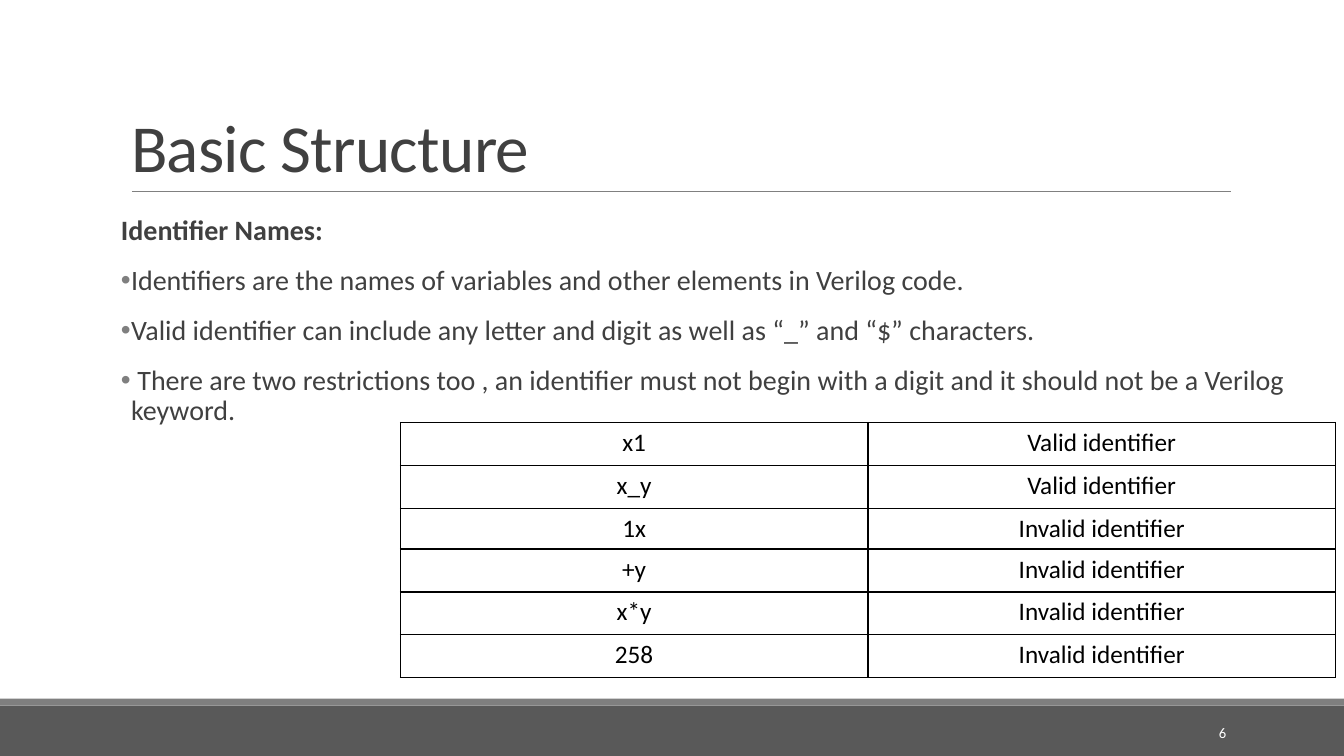
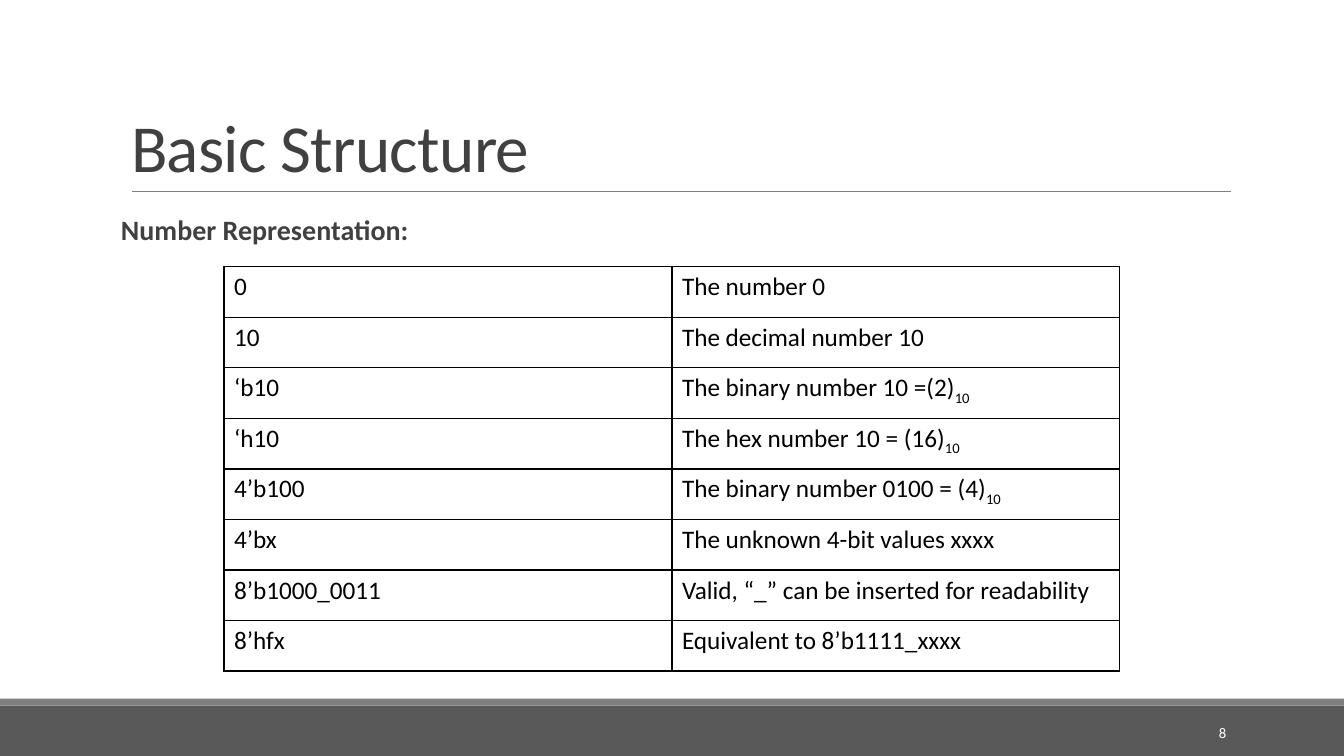
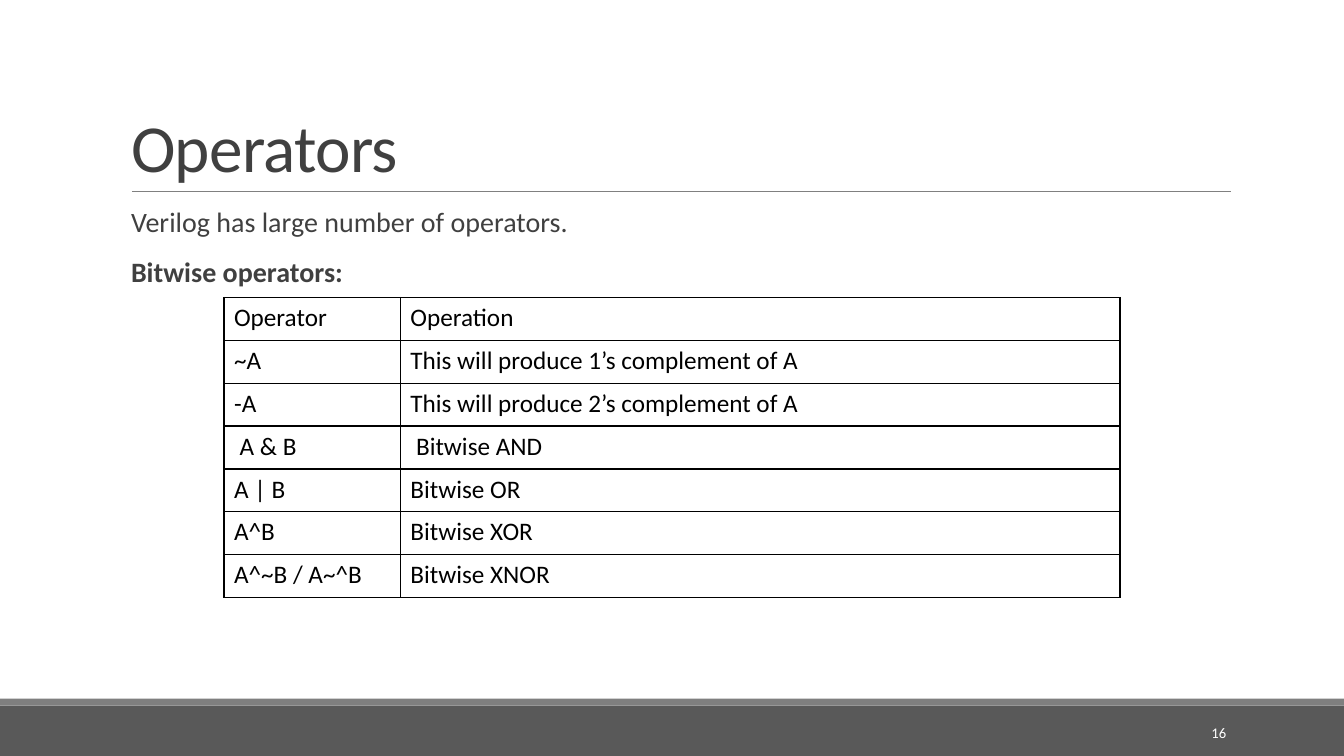
from dataclasses import dataclass

from lxml import etree
from pptx import Presentation
from pptx.dml.color import RGBColor
from pptx.enum.shapes import MSO_CONNECTOR, MSO_SHAPE
from pptx.enum.text import MSO_ANCHOR, MSO_AUTO_SIZE, PP_ALIGN
from pptx.oxml.ns import qn
from pptx.util import Pt

RECTANGLE = MSO_SHAPE.RECTANGLE
STRAIGHT = MSO_CONNECTOR.STRAIGHT
LEFT, CENTER, RIGHT = PP_ALIGN.LEFT, PP_ALIGN.CENTER, PP_ALIGN.RIGHT
TOP, MIDDLE, BOTTOM = MSO_ANCHOR.TOP, MSO_ANCHOR.MIDDLE, MSO_ANCHOR.BOTTOM
NO_AUTOFIT = MSO_AUTO_SIZE.NONE

PAGE_WIDTH, PAGE_HEIGHT = 960, 540
FONT = "Calibri"
INK, BLACK, WHITE = "404040", "000000", "FFFFFF"
BAND, STRIPE, RULE = "595959", "7F7F7F", "808080"
BAND_TOP, STRIPE_TOP = 504, 499
INDENT = 7.2


@dataclass
class Line:
    text: str
    bold: bool = False
    bullet: bool = False
    indent: float = 0


@dataclass
class Row:
    left: str
    right: str
    subscript: str = ""
    height: float = 30.65


@dataclass
class Grid:
    left: float
    top: float
    columns: tuple[float, ...]
    rows: list[Row]
    align: PP_ALIGN = LEFT


@dataclass
class Page:
    number: int
    title: str
    body_box: tuple[float, float, float, float]
    lines: list[Line]
    grid: Grid


def color(value: str) -> RGBColor:
    return RGBColor.from_string(value)


def write(para, text: str, *, size: float, ink: str, bold: bool = False,
          subscript: bool = False, tracking: float = 0) -> None:
    span = para.add_run()
    span.text = text
    span.font.name = FONT
    span.font.size = Pt(size)
    span.font.bold = bold
    span.font.color.rgb = color(ink)
    properties = span._r.get_or_add_rPr()
    if subscript:
        properties.set("baseline", "-25000")
    if tracking:
        properties.set("spc", str(round(tracking * 100)))


def place(box, left: float, top: float, width: float, height: float) -> None:
    box.left, box.top = Pt(left), Pt(top)
    box.width, box.height = Pt(width), Pt(height)


def prepare_frame(box, anchor: MSO_ANCHOR):
    frame = box.text_frame
    frame.word_wrap = True
    frame.auto_size = NO_AUTOFIT
    frame.vertical_anchor = anchor
    return frame


def add_band(slide, top: float, height: float, fill: str) -> None:
    band = slide.shapes.add_shape(RECTANGLE, 0, Pt(top), Pt(PAGE_WIDTH), Pt(height))
    band.shadow.inherit = False
    band.fill.solid()
    band.fill.fore_color.rgb = color(fill)
    band.line.fill.background()


def add_frame(slide, number: int) -> None:
    """Draw what every page shares: bands, title rule and page number."""
    add_band(slide, BAND_TOP, PAGE_HEIGHT - BAND_TOP, BAND)
    add_band(slide, STRIPE_TOP, BAND_TOP - STRIPE_TOP, STRIPE)
    rule = slide.shapes.add_connector(STRAIGHT, Pt(94.3), Pt(136.6), Pt(879), Pt(136.6))
    rule.line.color.rgb = color(RULE)
    rule.line.width = Pt(0.5)
    etree.SubElement(rule._element.spPr, qn("a:effectLst"))
    box = slide.shapes.add_textbox(Pt(780), Pt(508.6), Pt(103), Pt(28.8))
    para = prepare_frame(box, MIDDLE).paragraphs[0]
    para.alignment = RIGHT
    write(para, str(number), size=10.5, ink=WHITE)


def fill_title(slide, text: str) -> None:
    title = slide.shapes.title
    place(title, 86.4, 22.6, 792, 114.2)
    para = prepare_frame(title, BOTTOM).paragraphs[0]
    para.alignment = LEFT
    para.line_spacing = 0.85
    write(para, text, size=48, ink=INK, tracking=-0.5)


def set_bullet(para, line: Line) -> None:
    properties = para._p.get_or_add_pPr()
    properties.set("marL", str(Pt(line.indent)))
    properties.set("indent", str(-Pt(line.indent) if line.bullet else 0))
    if line.bullet:
        tint = etree.SubElement(properties, qn("a:buClr"))
        etree.SubElement(tint, qn("a:srgbClr"), val=STRIPE)
        etree.SubElement(properties, qn("a:buChar"), char="•")
    else:
        etree.SubElement(properties, qn("a:buNone"))


def fill_body(slide, page: Page) -> None:
    body = slide.placeholders[1]
    place(body, *page.body_box)
    frame = prepare_frame(body, TOP)
    frame.margin_left = frame.margin_right = 0
    for index, line in enumerate(page.lines):
        para = frame.add_paragraph() if index else frame.paragraphs[0]
        para.alignment = LEFT
        para.line_spacing = 0.9
        para.space_before, para.space_after = Pt(12), Pt(2)
        set_bullet(para, line)
        write(para, line.text, size=20, ink=INK, bold=line.bold)


def outline(cell) -> None:
    properties = cell._tc.get_or_add_tcPr()
    for side in ("a:lnL", "a:lnR", "a:lnT", "a:lnB"):
        border = etree.SubElement(properties, qn(side), w=str(Pt(1)))
        fill = etree.SubElement(border, qn("a:solidFill"))
        etree.SubElement(fill, qn("a:srgbClr"), val=BLACK)


def add_grid(slide, grid: Grid) -> None:
    height = sum(row.height for row in grid.rows)
    table = slide.shapes.add_table(
        len(grid.rows), len(grid.columns), Pt(grid.left), Pt(grid.top),
        Pt(sum(grid.columns)), Pt(height)).table
    table.first_row = table.horz_banding = False
    for column, width in zip(table.columns, grid.columns):
        column.width = Pt(width)
    for index, row in enumerate(grid.rows):
        table.rows[index].height = Pt(row.height)
        for column, text in enumerate((row.left, row.right)):
            cell = table.cell(index, column)
            outline(cell)
            cell.fill.background()
            para = cell.text_frame.paragraphs[0]
            para.alignment = grid.align
            write(para, text, size=18, ink=BLACK)
        if row.subscript:
            write(para, row.subscript, size=18, ink=BLACK, subscript=True)


WIDE_BODY = (86.4, 151.2, 867.6, 283)
VALID, INVALID = "Valid identifier", "Invalid identifier"
NUMBER_ROW = 36.1

PAGES = [
    Page(6, "Basic Structure", WIDE_BODY, [
        Line("Identifier Names:", bold=True),
        Line("Identifiers are the names of variables and other elements in Verilog code.",
             bullet=True, indent=INDENT),
        Line("Valid identifier can include any letter and digit as well as “_” and “$” characters.",
             bullet=True, indent=INDENT),
        Line(" There are two restrictions too , an identifier must not begin with a digit "
             "and it should not be a Verilog keyword.", bullet=True, indent=INDENT),
    ], Grid(286, 301.7, (334, 334), [
        Row("x1", VALID),
        Row("x_y", VALID),
        Row("1x", INVALID, height=29.2),
        Row("+y", INVALID),
        Row("x*y", INVALID),
        Row("258", INVALID),
    ], CENTER)),
    Page(8, "Basic Structure", WIDE_BODY, [
        Line("Number Representation:", bold=True),
    ], Grid(160, 190.6, (320, 320), [
        Row("0", "The number 0", height=NUMBER_ROW),
        Row("10", "The decimal number 10", height=NUMBER_ROW),
        Row("‘b10", "The binary number 10 =(2)", "10", NUMBER_ROW),
        Row("‘h10", "The hex number 10 = (16)", "10", NUMBER_ROW),
        Row("4’b100", "The binary number 0100 = (4)", "10", NUMBER_ROW),
        Row("4’bx", "The unknown 4-bit values xxxx", height=NUMBER_ROW),
        Row("8’b1000_0011", "Valid, “_” can be inserted for readability", height=NUMBER_ROW),
        Row("8’hfx", "Equivalent to 8’b1111_xxxx", height=NUMBER_ROW),
    ])),
    Page(16, "Operators", (86.4, 145.4, 792, 316.8), [
        Line("Verilog has large number of operators.", indent=INDENT),
        Line("Bitwise operators:", bold=True, indent=INDENT),
    ], Grid(160, 212.4, (126, 514), [
        Row("Operator", "Operation"),
        Row("~A", "This will produce 1’s complement of A"),
        Row("-A", "This will produce 2’s complement of A"),
        Row(" A & B", " Bitwise AND"),
        Row("A | B", "Bitwise OR"),
        Row("A^B", "Bitwise XOR"),
        Row("A^~B / A~^B", "Bitwise XNOR"),
    ])),
]


def main() -> None:
    deck = Presentation()
    deck.slide_width, deck.slide_height = Pt(PAGE_WIDTH), Pt(PAGE_HEIGHT)
    for page in PAGES:
        slide = deck.slides.add_slide(deck.slide_layouts[1])
        add_frame(slide, page.number)
        fill_title(slide, page.title)
        fill_body(slide, page)
        add_grid(slide, page.grid)
    deck.save("out.pptx")


if __name__ == "__main__":
    main()
